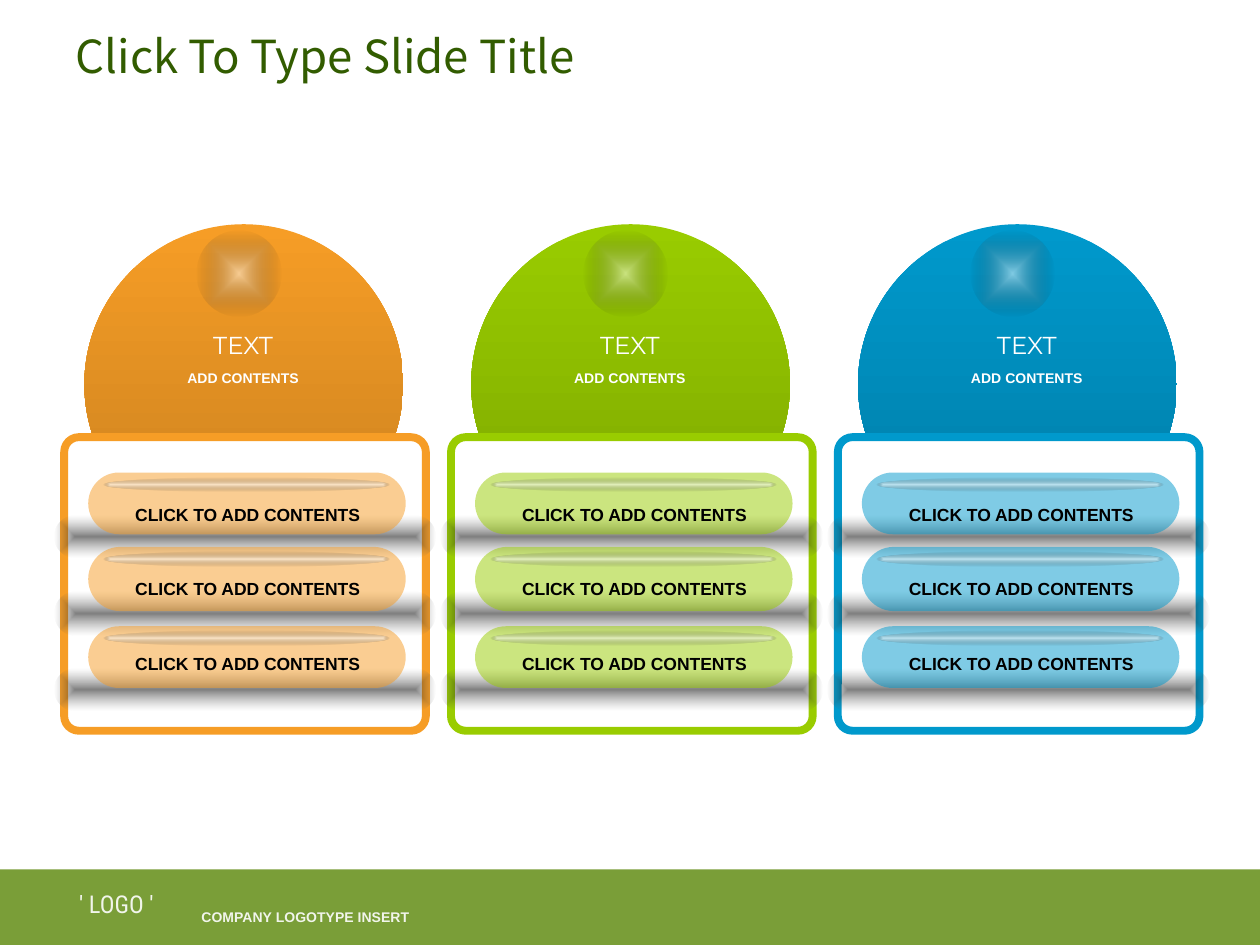
from dataclasses import dataclass
from pptx import Presentation
from pptx.dml.color import RGBColor as RGB
from pptx.enum.shapes import MSO_SHAPE as Kind
from pptx.enum.text import MSO_ANCHOR as Anchor, MSO_AUTO_SIZE as Size, PP_ALIGN as Align
from pptx.oxml import parse_xml
from pptx.oxml.ns import nsdecls, qn
from pptx.util import Inches, Pt


@dataclass(frozen=True)
class Theme:
    white: str = "FFFFFF"
    ink: str = "000000"
    title: str = "325C00"
    band: str = "7A9E38"
    sans: str = "Arial"
    head: str = "Montserrat"
    logo: str = "Roboto Condensed"
    cjk: str = "Noto Sans CJK KR"
    big: float = 26
    mid: float = 14
    body: float = 10
    small: float = 8
    edge: float = 4.5


GLOSS = (("FFFFFF", 50), ("000000", 0))
SHADE = (("000000", 50), ("6C6C6C", 0))


def fade(node, share):
    """Make every colour under the node opaque by this percentage."""
    for tint in node.iter(qn("a:srgbClr")):
        tint.append(parse_xml(f'<a:alpha {nsdecls("a")} val="{share * 1000}"/>'))


class Deck:
    """Places elements on a grid of 10 columns by 7.5 rows."""

    def __init__(self, theme):
        self.theme = theme
        self.prs = Presentation()
        self.prs.slide_width, self.prs.slide_height = Inches(10), Inches(7.5)
        self.cell = self.prs.slide_width / 10
        self.slide = self.prs.slides.add_slide(self.prs.slide_layouts[5])

    def span(self, *cells):
        return [round(self.cell * n) for n in cells]

    def title(self, text, box):
        shape = self.slide.shapes.title
        shape.left, shape.top, shape.width, shape.height = self.span(*box)
        frame = shape.text_frame
        frame.text = text
        frame.auto_size, frame.vertical_anchor = Size.NONE, Anchor.MIDDLE
        self.style(frame, self.theme.big, self.theme.cjk, self.theme.title, Align.LEFT)

    def style(self, frame, size, face, color, align, bold=False):
        para = frame.paragraphs[0]
        para.alignment = align
        font = para.runs[0].font
        font.size, font.name, font.bold = Pt(size), face, bold
        font.color.rgb = RGB.from_string(color)
        return para.runs[0]

    def shape(self, kind, box, fill=None, alpha=100, line=None, curve=None):
        shape = self.slide.shapes.add_shape(kind, *self.span(*box))
        shape.shadow.inherit = False
        if curve is not None:
            shape.adjustments[0] = curve
        if fill:
            shape.fill.solid()
            shape.fill.fore_color.rgb = RGB.from_string(fill)
            if alpha < 100:
                fade(shape.fill._xPr, alpha)
        if line:
            shape.line.color.rgb = RGB.from_string(line)
            shape.line.width = Pt(self.theme.edge)
        else:
            shape.line.fill.background()
        return shape

    def blend(self, kind, box, stops, glow=True, curve=None):
        """Shape with a gradient, from the centre if glow, else downwards."""
        shape = self.shape(kind, box, curve=curve)
        shape.fill.gradient()
        marks = "".join(
            f'<a:gs pos="{i * 100000}"><a:srgbClr val="{color}">'
            f'<a:alpha val="{alpha * 1000}"/></a:srgbClr></a:gs>'
            for i, (color, alpha) in enumerate(stops))
        way = ('<a:path path="rect"><a:fillToRect l="50000" t="50000" r="50000" b="50000"/></a:path>'
               if glow else '<a:lin ang="5400000" scaled="0"/>')
        props = shape._element.spPr
        props.replace(props.find(qn("a:gradFill")), parse_xml(
            f'<a:gradFill {nsdecls("a")} rotWithShape="1"><a:gsLst>{marks}</a:gsLst>{way}</a:gradFill>'))

    def label(self, text, box, size, face, color, bold=True,
              align=Align.CENTER, pad=0.05, alpha=100):
        frame = self.slide.shapes.add_textbox(*self.span(*box)).text_frame
        frame.text = text
        frame.word_wrap, frame.auto_size = False, Size.NONE
        frame.margin_top = frame.margin_bottom = Inches(pad)
        run = self.style(frame, size, face, color, align, bold)
        if alpha < 100:
            fade(run._r, alpha)

    def dome(self, left, color, dark, shift):
        t = self.theme
        self.blend(Kind.OVAL, (left + 0.24, 1.78, 2.53, 2.54), ((color, 100), (dark, 100)), glow=False)
        self.blend(Kind.OVAL, (left + 1.13, 1.83, 0.67, 0.68), GLOSS)
        self.label("TEXT", (left + 1.03 + shift, 2.57, 0.94, 0.28), t.mid, t.head, t.white, bold=False)
        self.label("ADD CONTENTS", (left + 0.87 + shift, 2.88, 1.26, 0.15), t.small, t.sans, t.white)

    def pill(self, left, top, tall, drop, base, color):
        """Glossy bar; drop is the top of its shadow, base that of its text."""
        t = self.theme
        self.blend(Kind.ROUNDED_RECTANGLE, (left, drop, 3.03, tall * 0.68), SHADE, curve=0.5)
        self.shape(Kind.ROUNDED_RECTANGLE, (left + 0.27, top, 2.52, tall), color, alpha=50, curve=0.5)
        self.blend(Kind.OVAL, (left + 0.39, top + 0.04, 2.27, tall * 0.23), GLOSS)
        self.label("CLICK TO ADD CONTENTS", (left + 0.63, base, 1.81, 0.12), t.body, t.sans, t.ink)

    def panel(self, left, color, dark, shift):
        self.dome(left, color, dark, shift)
        self.shape(Kind.ROUNDED_RECTANGLE, (left + 0.08, 3.47, 2.87, 2.33),
                   self.theme.white, line=color, curve=0.05)
        for i, (top, tall) in enumerate(((3.75, 0.49), (4.34, 0.51), (4.97, 0.49))):
            self.pill(left, top, tall, 4.09 + 0.61 * i, 3.95 + 0.59 * i, color)

    def footer(self):
        t = self.theme
        self.shape(Kind.RECTANGLE, (0, 6.9, 10, 0.6), t.band)
        self.label("' LOGO '", (0.36, 7.01, 1.13, 0.28), t.mid, t.logo, t.white, bold=False, alpha=90)
        self.label("COMPANY LOGOTYPE INSERT", (1.5, 7.19, 1.42, 0.07), t.small, t.sans, t.white,
                   align=Align.LEFT, pad=0.02, alpha=90)


def main():
    deck = Deck(Theme())
    deck.footer()
    panels = (("F69D26", "CA811F", 0), ("99CC00", "7DA700", 0), ("0099CC", "007DA7", 0.08))
    for i, (color, dark, shift) in enumerate(panels):
        deck.panel(0.43 + 3.07 * i, color, dark, shift)
    deck.title("Click To Type Slide Title", (0.5, 0.21, 9, 0.46))
    deck.prs.save("out.pptx")


if __name__ == "__main__":
    main()
